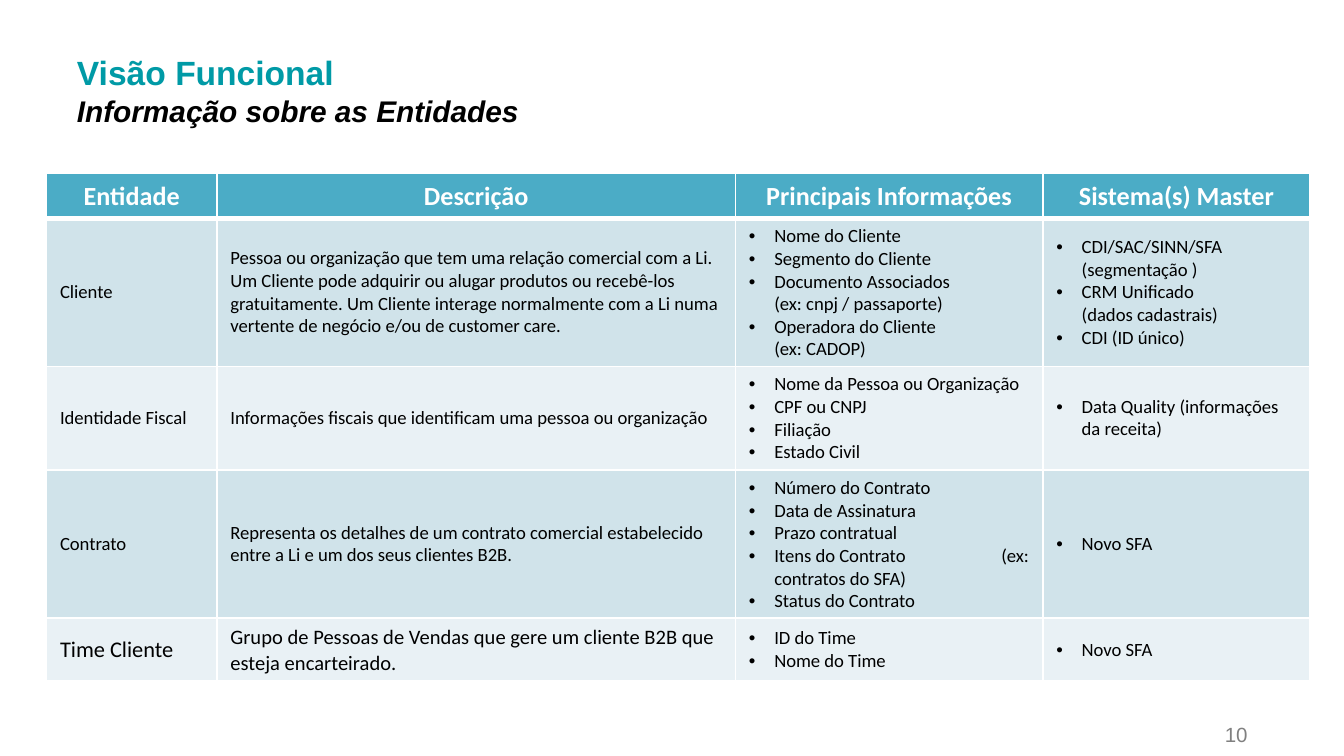
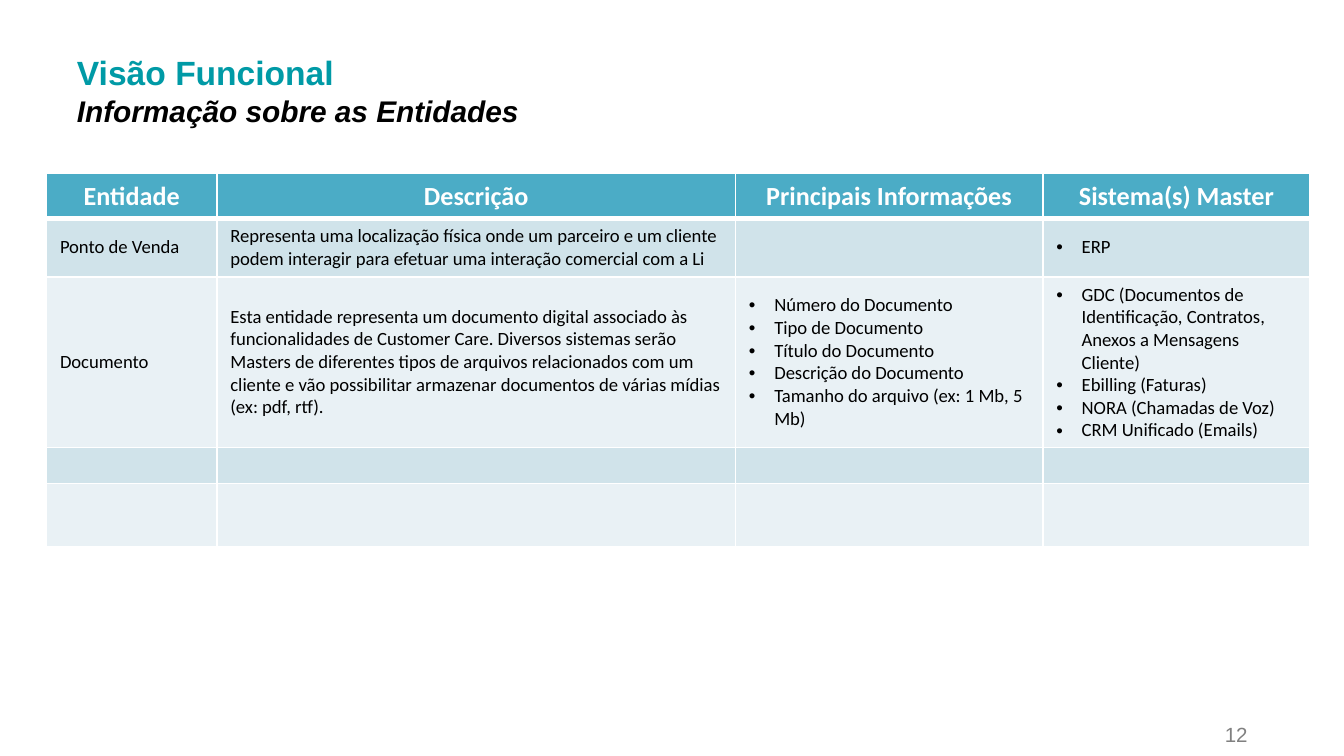
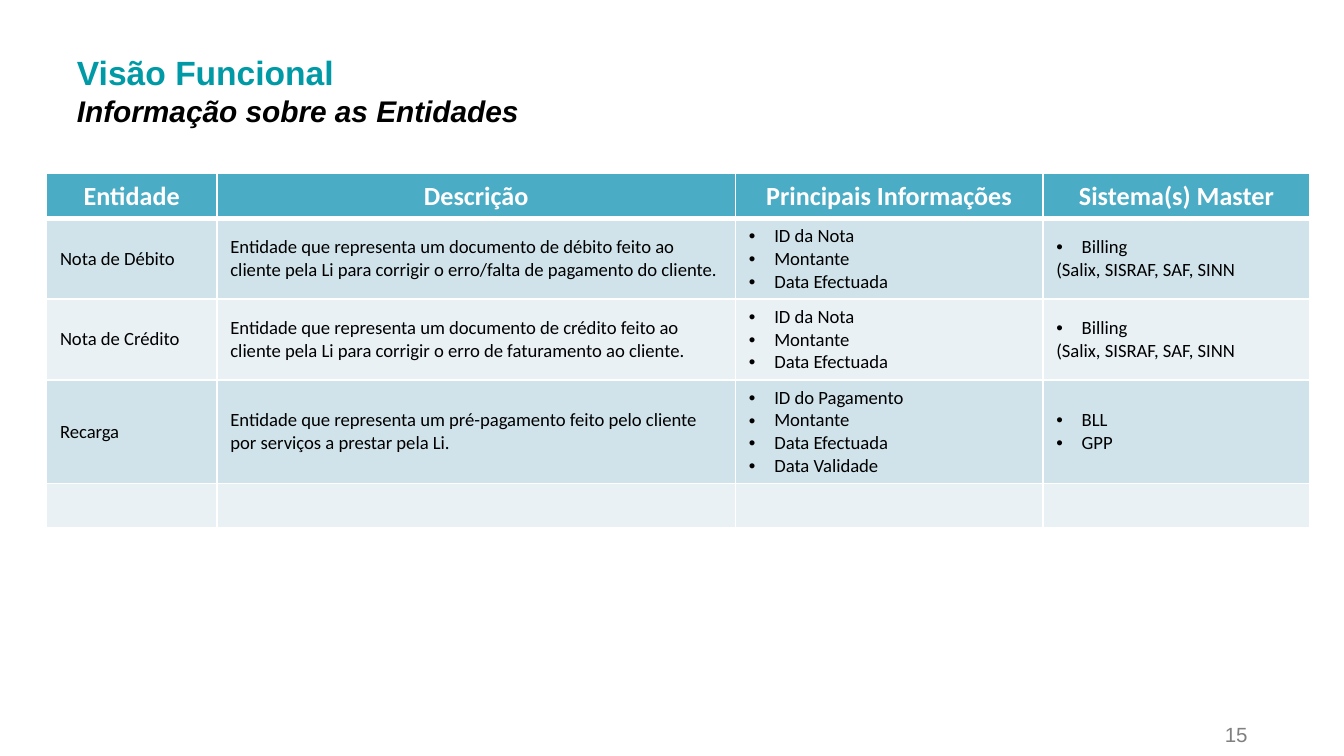
from dataclasses import dataclass

import lxml.etree
import pptx
import pptx.dml.color
import pptx.enum.text
import pptx.oxml.ns
import pptx.util

Cm = pptx.util.Cm
Pt = pptx.util.Pt
Align = pptx.enum.text.PP_ALIGN
Anchor = pptx.enum.text.MSO_ANCHOR
qn = pptx.oxml.ns.qn


# Colours, fonts and type sizes
@dataclass(frozen=True)
class Theme:
    teal: str = "009AA6"
    black: str = "000000"
    white: str = "FFFFFF"
    gray: str = "808080"
    head: str = "4BACC6"
    bands: tuple[str, str] = ("D0E3EA", "E9F1F5")
    sans: str = "Arial"
    body: str = "Calibri"
    title_pt: int = 18
    sub_pt: int = 16
    head_pt: int = 14
    text_pt: int = 10
    page_pt: int = 11
    thin: int = 1
    thick: int = 3


THEME = Theme()


# One table row; info and master are bullet lists
@dataclass(frozen=True)
class Row:
    high: float
    name: str = ""
    about: str = ""
    info: tuple[str, ...] = ()
    master: tuple[str, ...] = ()
    note: str = ""
    name_pt: int = THEME.text_pt
    about_pt: int = THEME.text_pt


@dataclass(frozen=True)
class Page:
    number: int
    rows: tuple[Row, ...]


HEADS = ("Entidade", "Descrição", "Principais Informações", "Sistema(s) Master")
WIDTHS = (3.22, 9.8, 5.81, 5.05)
HEAD_HIGH = 0.83
NOTE_DATA = ("ID da Nota", "Montante", "Data Efectuada")
BILLING = "(Salix, SISRAF, SAF, SINN"

PAGES = (
    Page(10, (
        Row(2.8, "Cliente",
            "Pessoa ou organização que tem uma relação comercial com a Li. "
            "Um Cliente pode adquirir ou alugar produtos ou recebê-los "
            "gratuitamente. Um Cliente interage normalmente com a Li numa "
            "vertente de negócio e/ou de customer care.",
            ("Nome do Cliente", "Segmento do Cliente",
             "Documento Associados\v(ex: cnpj / passaporte)",
             "Operadora do Cliente\v(ex: CADOP)"),
            ("CDI/SAC/SINN/SFA (segmentação )",
             "CRM Unificado\v(dados cadastrais)", "CDI (ID único)")),
        Row(1.96, "Identidade Fiscal",
            "Informações fiscais que identificam uma pessoa ou organização",
            ("Nome da Pessoa ou Organização", "CPF ou CNPJ", "Filiação",
             "Estado Civil"),
            ("Data Quality (informações da receita)",)),
        Row(2.8, "Contrato",
            "Representa os detalhes de um contrato comercial estabelecido "
            "entre a Li e um dos seus clientes B2B.",
            ("Número do Contrato", "Data de Assinatura", "Prazo contratual",
             "Itens do Contrato\t(ex: contratos do SFA)",
             "Status do Contrato"),
            ("Novo SFA",)),
        Row(1.19, "Time Cliente",
            "Grupo de Pessoas de Vendas que gere um cliente B2B que esteja "
            "encarteirado.",
            ("ID do Time", "Nome do Time"), ("Novo SFA",),
            name_pt=12, about_pt=11),
    )),
    Page(12, (
        Row(1.1, "Ponto de Venda",
            "Representa uma localização física onde um parceiro e um cliente "
            "podem interagir para efetuar uma interação comercial com a Li",
            master=("ERP",)),
        Row(3.23, "Documento",
            "Esta entidade representa um documento digital associado às "
            "funcionalidades de Customer Care. Diversos sistemas serão "
            "Masters de diferentes tipos de arquivos relacionados com um "
            "cliente e vão possibilitar armazenar documentos de várias "
            "mídias (ex: pdf, rtf).",
            ("Número do Documento", "Tipo de Documento",
             "Título do Documento", "Descrição do Documento",
             "Tamanho do arquivo (ex: 1 Mb, 5 Mb)"),
            ("GDC (Documentos de Identificação, Contratos, Anexos a "
             "Mensagens Cliente)",
             "Ebilling (Faturas)", "NORA (Chamadas de Voz)",
             "CRM Unificado (Emails)")),
        Row(0.68),
        Row(1.2),
    )),
    Page(15, (
        Row(1.52, "Nota de Débito",
            "Entidade que representa um documento de débito feito ao cliente "
            "pela Li para corrigir o erro/falta de pagamento do cliente.",
            NOTE_DATA, ("Billing",), BILLING),
        Row(1.52, "Nota de Crédito",
            "Entidade que representa um documento de crédito feito ao cliente "
            "pela Li para corrigir o erro de faturamento ao cliente.",
            NOTE_DATA, ("Billing",), BILLING),
        Row(1.96, "Recarga",
            "Entidade que representa um pré-pagamento feito pelo cliente por "
            "serviços a prestar pela Li.",
            ("ID do Pagamento", "Montante", "Data Efectuada",
             "Data Validade"),
            ("BLL", "GPP")),
        Row(0.84),
    )),
)


# Text helpers
def style(para, size: int, color: str, face: str, bold: bool = False,
          slant: bool = False) -> None:
    font = para.font
    font.size, font.name = Pt(size), face
    font.bold, font.italic = bold, slant
    font.color.rgb = pptx.dml.color.RGBColor.from_string(color)


def add_dot(para) -> None:
    props = para._p.get_or_add_pPr()
    props.set("marL", str(Cm(0.48)))
    props.set("indent", str(Cm(-0.48)))
    lxml.etree.SubElement(props, qn("a:buFont"), typeface=THEME.sans)
    lxml.etree.SubElement(props, qn("a:buChar"), char="•")
    if "\t" in para.text:
        tabs = lxml.etree.SubElement(props, qn("a:tabLst"))
        lxml.etree.SubElement(tabs, qn("a:tab"), pos=str(Cm(4.77)), algn="l")


def write(cell, lines: tuple[str, ...], size: int, dots: int = 0) -> None:
    """Write body lines, the first `dots` of them as bullets."""
    frame = cell.text_frame
    for i, line in enumerate(lines):
        para = frame.add_paragraph() if i else frame.paragraphs[0]
        para.text = line
        if i < dots:
            add_dot(para)
        style(para, size, THEME.black, THEME.body)
        # Line breaks keep the size of their text
        for gap in para._p.findall(qn("a:br")):
            lxml.etree.SubElement(gap, qn("a:rPr"), sz=str(size * 100))
    if not lines:
        lxml.etree.SubElement(frame.paragraphs[0]._p, qn("a:endParaRPr"),
                              sz=str(size * 100))


# Cell fill and borders
def paint(cell, color: str, top: int, base: int) -> None:
    props = cell._tc.get_or_add_tcPr()
    sides = {"L": THEME.thin, "R": THEME.thin, "T": top, "B": base}
    for side, width in sides.items():
        line = lxml.etree.SubElement(props, qn(f"a:ln{side}"),
                                     w=str(Pt(width)))
        fill = lxml.etree.SubElement(line, qn("a:solidFill"))
        lxml.etree.SubElement(fill, qn("a:srgbClr"), val=THEME.white)
    cell.fill.solid()
    cell.fill.fore_color.rgb = pptx.dml.color.RGBColor.from_string(color)
    cell.vertical_anchor = Anchor.MIDDLE


# Slide parts
def add_title(slide) -> None:
    title = slide.shapes.title
    title.left, title.top = Cm(1.2), Cm(0.86)
    title.width, title.height = Cm(18.8), Cm(1.7)
    frame = title.text_frame
    frame.text = "Visão Funcional\nInformação sobre as Entidades"
    frame.vertical_anchor = Anchor.MIDDLE
    head, sub = frame.paragraphs
    head.alignment = sub.alignment = Align.LEFT
    style(head, THEME.title_pt, THEME.teal, THEME.sans, bold=True)
    style(sub, THEME.sub_pt, THEME.black, THEME.sans, bold=True, slant=True)


def add_number(slide, number: int) -> None:
    box = slide.shapes.add_textbox(Cm(21.49), Cm(13.56), Cm(2.34), Cm(0.74))
    frame = box.text_frame
    frame.word_wrap = True
    frame.vertical_anchor = Anchor.MIDDLE
    para = frame.paragraphs[0]
    para.text = str(number)
    para.alignment, para.line_spacing = Align.RIGHT, 0.8
    style(para, THEME.page_pt, THEME.gray, THEME.sans)


def add_grid(slide, rows: tuple[Row, ...]) -> None:
    highs = [HEAD_HIGH] + [row.high for row in rows]
    grid = slide.shapes.add_table(
        len(highs), len(WIDTHS), Cm(0.88), Cm(3.28),
        Cm(sum(WIDTHS)), Cm(sum(highs))).table
    grid.first_row = grid.horz_banding = False
    for col, width in zip(grid.columns, WIDTHS):
        col.width = Cm(width)
    for line, high in zip(grid.rows, highs):
        line.height = Cm(high)

    for i, text in enumerate(HEADS):
        cell = grid.cell(0, i)
        paint(cell, THEME.head, THEME.thin, THEME.thick)
        para = cell.text_frame.paragraphs[0]
        para.text, para.alignment = text, Align.CENTER
        style(para, THEME.head_pt, THEME.white, THEME.body, bold=True)

    for i, row in enumerate(rows):
        cells = grid.rows[i + 1].cells
        for cell in cells:
            paint(cell, THEME.bands[i % 2],
                  THEME.thin if i else THEME.thick, THEME.thin)
        name, about, info, master = cells
        write(name, (row.name,) if row.name else (), row.name_pt)
        write(about, (row.about,) if row.about else (), row.about_pt)
        write(info, row.info, THEME.text_pt, len(row.info))
        notes = (row.note,) if row.note else ()
        write(master, row.master + notes, THEME.text_pt, len(row.master))


def main() -> None:
    deck = pptx.Presentation()
    deck.slide_width, deck.slide_height = Cm(25.4), Cm(14.29)
    for page in PAGES:
        slide = deck.slides.add_slide(deck.slide_layouts[5])
        add_number(slide, page.number)
        add_title(slide)
        add_grid(slide, page.rows)
    deck.save("out.pptx")


if __name__ == "__main__":
    main()
